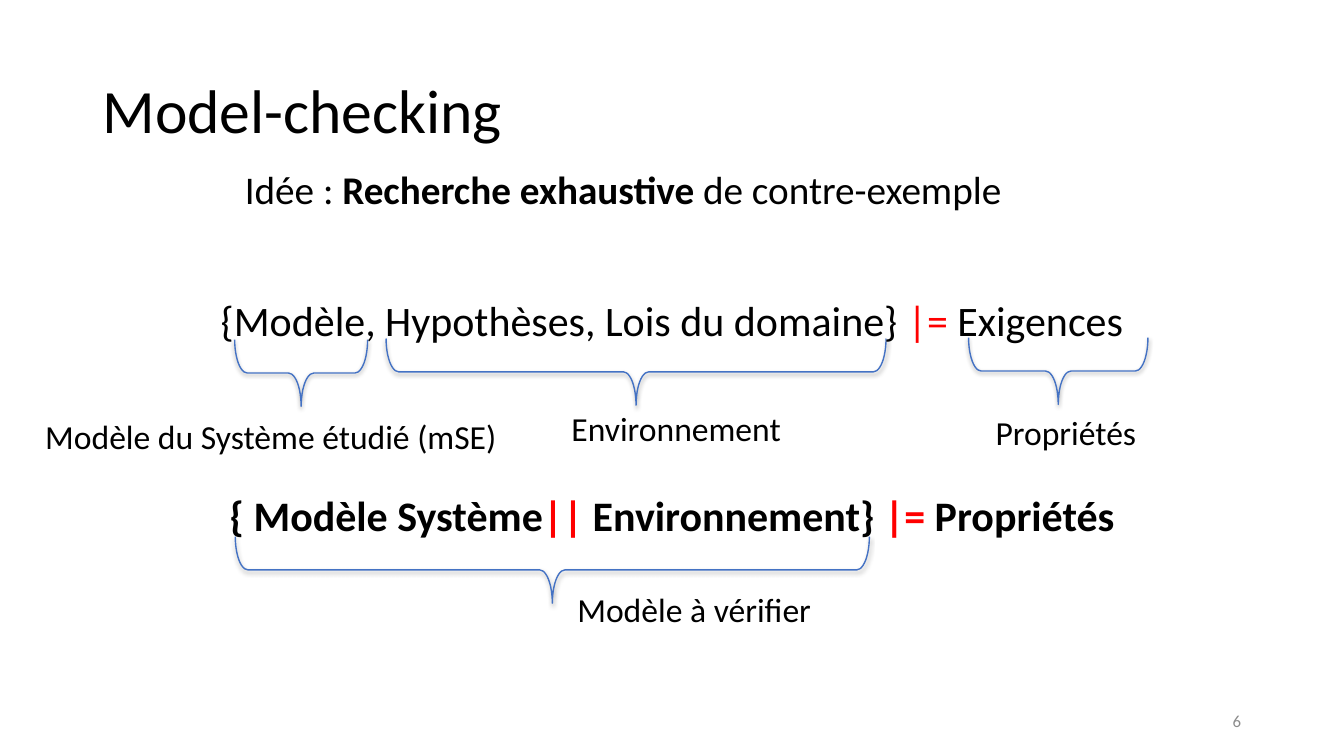
"""Build the model-checking slide with its braces and labels."""
from lxml import etree
from pptx import Presentation
from pptx.dml.color import RGBColor
from pptx.enum import shapes, text
from pptx.oxml import parse_xml
from pptx.util import Cm, Pt

BLACK = RGBColor(0x00, 0x00, 0x00)
RED = RGBColor(0xFF, 0x00, 0x00)
GREY = RGBColor(0x8C, 0x8C, 0x8C)
BLUE = RGBColor(0x44, 0x72, 0xC4)
LEFT, CENTER, RIGHT = text.PP_ALIGN.LEFT, text.PP_ALIGN.CENTER, text.PP_ALIGN.RIGHT
TOP, MIDDLE = text.MSO_ANCHOR.TOP, text.MSO_ANCHOR.MIDDLE
BRACE_DEPTH = 1.68
SHADOW = (
    '<a:effectLst xmlns:a="http://schemas.openxmlformats.org/drawingml/2006/main">'
    '<a:outerShdw blurRad="40000" dist="20000" dir="5400000" rotWithShape="0">'
    '<a:srgbClr val="000000"><a:alpha val="38000"/></a:srgbClr>'
    '</a:outerShdw></a:effectLst>'
)


def write(box, spans, size, align=LEFT, anchor=TOP, wrap=True):
    frame = box.text_frame
    frame.word_wrap = wrap
    frame.vertical_anchor = anchor
    para = frame.paragraphs[0]
    para.alignment = align
    for words, color, bold in spans:
        span = para.add_run()
        span.text = words
        span.font.name = "Calibri"
        span.font.size = Pt(size)
        span.font.bold = bold
        span.font.color.rgb = color
    return para


deck = Presentation()
deck.slide_width, deck.slide_height = Cm(33.87), Cm(19.05)
page = deck.slides.add_slide(deck.slide_layouts[5])

title = page.shapes.title
title.left, title.top, title.width, title.height = Cm(2.33), Cm(1.01), Cm(29.21), Cm(3.68)
heading = write(title, [("Model-checking", BLACK, False)], 44, anchor=MIDDLE)
heading.line_spacing = 0.9

braces = [
    (16.03, 9.37, 12.6),
    (7.59, 9.4, 3.35),
    (26.67, 9.35, 4.52),
    (13.92, 14.36, 15.98),
]
for center_x, center_y, length in braces:
    brace = page.shapes.add_shape(
        shapes.MSO_SHAPE.LEFT_BRACE,
        Cm(center_x - BRACE_DEPTH / 2), Cm(center_y - length / 2),
        Cm(BRACE_DEPTH), Cm(length),
    )
    brace.rotation = 270
    brace.adjustments[0] = 0.19
    brace.adjustments[1] = 0.5
    brace.fill.background()
    brace.line.color.rgb = BLUE
    brace.line.width = Pt(1)
    brace.element.spPr.append(parse_xml(SHADOW))

formula = [
    ("{Modèle, Hypothèses, Lois du domaine} ", BLACK, False),
    ("|=", RED, False),
    (" Exigences", BLACK, False),
]
summary = [
    ("{ Modèle Système", BLACK, True),
    ("||", RED, True),
    (" Environnement} ", BLACK, True),
    ("|=", RED, True),
    (" Propriétés", BLACK, True),
]
idea = [
    ("Idée : ", BLACK, False),
    ("Recherche exhaustive", BLACK, True),
    (" de contre-exemple", BLACK, False),
]
system = [("Modèle du Système étudié (mSE)", BLACK, False)]
environment = [("Environnement", BLACK, False)]
properties = [("Propriétés", BLACK, False)]
checked = [("Modèle à vérifier", BLACK, False)]
number = [("6", GREY, False)]

boxes = [
    (2.33, 7.29, 29.21, 1.55, formula, 30, CENTER, TOP, True),
    (14.15, 10.16, 5.84, 1.27, environment, 24, LEFT, TOP, False),
    (0.89, 10.36, 11.99, 1.27, system, 24, LEFT, TOP, False),
    (24.84, 10.26, 4.09, 1.27, properties, 24, LEFT, TOP, False),
    (5.51, 12.22, 22.86, 1.55, summary, 30, CENTER, TOP, True),
    (14.3, 14.71, 8.92, 1.27, checked, 24, LEFT, TOP, True),
    (5.92, 4.04, 19.81, 1.45, idea, 28, LEFT, TOP, False),
    (27.69, 17.65, 3.84, 1.02, number, 12, RIGHT, MIDDLE, True),
]
for left, top, width, height, spans, size, align, anchor, wrap in boxes:
    box = page.shapes.add_textbox(Cm(left), Cm(top), Cm(width), Cm(height))
    write(box, spans, size, align, anchor, wrap)

deck.save("out.pptx")
